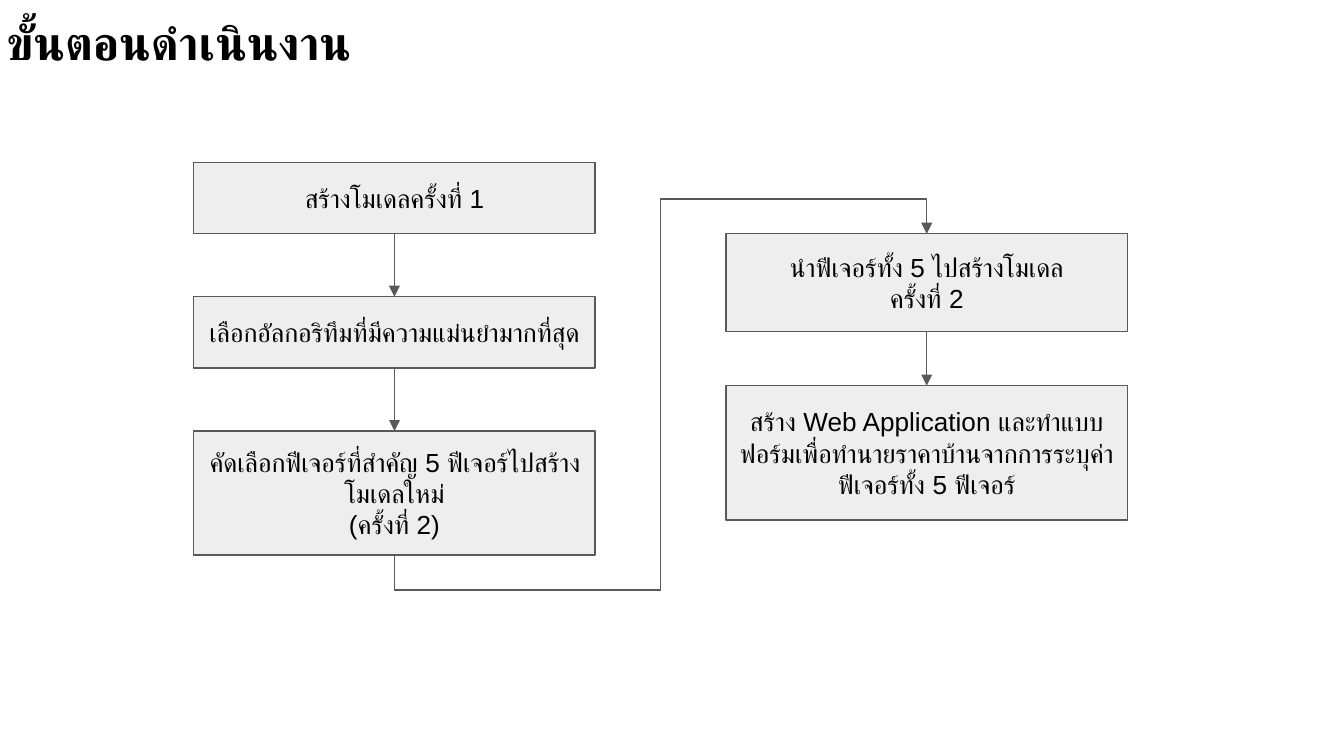
"""Builds a slide with a five-step workflow in two columns of boxes."""
from lxml.etree import SubElement
from pptx import Presentation
from pptx.dml.color import RGBColor
from pptx.enum.shapes import MSO_CONNECTOR as Connector, MSO_SHAPE as Shape
from pptx.enum.text import MSO_ANCHOR as Anchor, MSO_AUTO_SIZE as AutoSize, PP_ALIGN as Align
from pptx.oxml.ns import qn
from pptx.util import Cm, Pt

FONT, TEXT, FILL, LINE = "Arial", "000000", "EEEEEE", "595959"
BOX_WIDTH = 7.59
MARGIN = 0.25
ELBOW_OVERHANG = 0.66

COLUMNS = [
    (3.66, 3.07, 1.19, [
        (1.35, ["สร้างโมเดลครั้งที่ 1"]),
        (1.35, ["เลือกอัลกอริทึมที่มีความแม่นยำมากที่สุด"]),
        (2.34, ["คัดเลือกฟีเจอร์ที่สำคัญ 5 ฟีเจอร์ไปสร้างโมเดลใหม่", "(ครั้งที่ 2)"]),
    ]),
    (13.72, 4.42, 1.02, [
        (1.85, ["นำฟีเจอร์ทั้ง 5 ไปสร้างโมเดล", "ครั้งที่ 2"]),
        (2.54, ["สร้าง Web Application และทำแบบฟอร์มเพื่อทำนายราคาบ้านจากการระบุค่าฟีเจอร์ทั้ง 5 ฟีเจอร์"]),
    ]),
]


def write(shape, lines, size, align, anchor, bold=False):
    frame = shape.text_frame
    frame.word_wrap = True
    frame.auto_size = AutoSize.NONE
    frame.vertical_anchor = anchor
    frame.margin_left = frame.margin_right = Cm(MARGIN)
    frame.margin_top = frame.margin_bottom = Cm(MARGIN)
    for index, line in enumerate(lines):
        paragraph = frame.add_paragraph() if index else frame.paragraphs[0]
        paragraph.alignment = align
        run = paragraph.add_run()
        run.text = line
        run.font.size, run.font.bold, run.font.name = Pt(size), bold, FONT
        run.font.color.rgb = RGBColor.from_string(TEXT)
        for script in ("a:ea", "a:cs"):
            SubElement(run.font._element, qn(script), typeface=FONT)


def style_arrow(arrow):
    arrow.line.color.rgb = RGBColor.from_string(LINE)
    arrow.line.width = Pt(0.75)
    SubElement(arrow.line._get_or_add_ln(), qn("a:tailEnd"), type="triangle")
    SubElement(arrow._element.spPr, qn("a:effectLst"))


presentation = Presentation()
presentation.slide_width, presentation.slide_height = Cm(25.4), Cm(14.29)
slide = presentation.slides.add_slide(presentation.slide_layouts[5])

title = slide.shapes.title
title.left, title.top, title.width, title.height = Cm(-0.13), Cm(0), Cm(23.67), Cm(1.6)
write(title, ["ขั้นตอนดำเนินงาน"], 25.2, Align.LEFT, Anchor.TOP, bold=True)

for left, top, gap, steps in COLUMNS:
    previous = None
    for height, lines in steps:
        box = slide.shapes.add_shape(Shape.RECTANGLE, Cm(left), Cm(top), Cm(BOX_WIDTH), Cm(height))
        box.shadow.inherit = False
        box.fill.solid()
        box.fill.fore_color.rgb = RGBColor.from_string(FILL)
        box.line.color.rgb = RGBColor.from_string(LINE)
        box.line.width = Pt(0.75)
        write(box, lines, 14, Align.CENTER, Anchor.MIDDLE)
        if previous is not None:
            arrow = slide.shapes.add_connector(Connector.STRAIGHT, 0, 0, 0, 0)
            arrow.begin_connect(previous, 2)
            arrow.end_connect(box, 0)
            style_arrow(arrow)
        previous = box
        top += height + gap

(first_left, first_top, first_gap, first_steps), (second_left, second_top, _, _) = COLUMNS
start_x, end_x = first_left + BOX_WIDTH / 2, second_left + BOX_WIDTH / 2
start_y = first_top + sum(height for height, _ in first_steps) + first_gap * (len(first_steps) - 1)
rise, run_across = start_y - second_top, end_x - start_x
middle_x, middle_y = (start_x + end_x) / 2, (start_y + second_top) / 2

elbow = slide.shapes.add_connector(
    Connector.ELBOW,
    Cm(middle_x - rise / 2), Cm(middle_y - run_across / 2),
    Cm(middle_x + rise / 2), Cm(middle_y + run_across / 2),
)
style_arrow(elbow)
elbow._element.spPr.find(qn("a:xfrm")).set("rot", str(270 * 60000))
geometry = elbow._element.spPr.find(qn("a:prstGeom"))
geometry.set("prst", "bentConnector5")
adjustments = geometry.find(qn("a:avLst"))
overhang = ELBOW_OVERHANG / rise
for number, share in enumerate((-overhang, 0.5, 1 + overhang), start=1):
    SubElement(adjustments, qn("a:gd"), name=f"adj{number}", fmla=f"val {round(share * 100000)}")

presentation.save("out.pptx")
